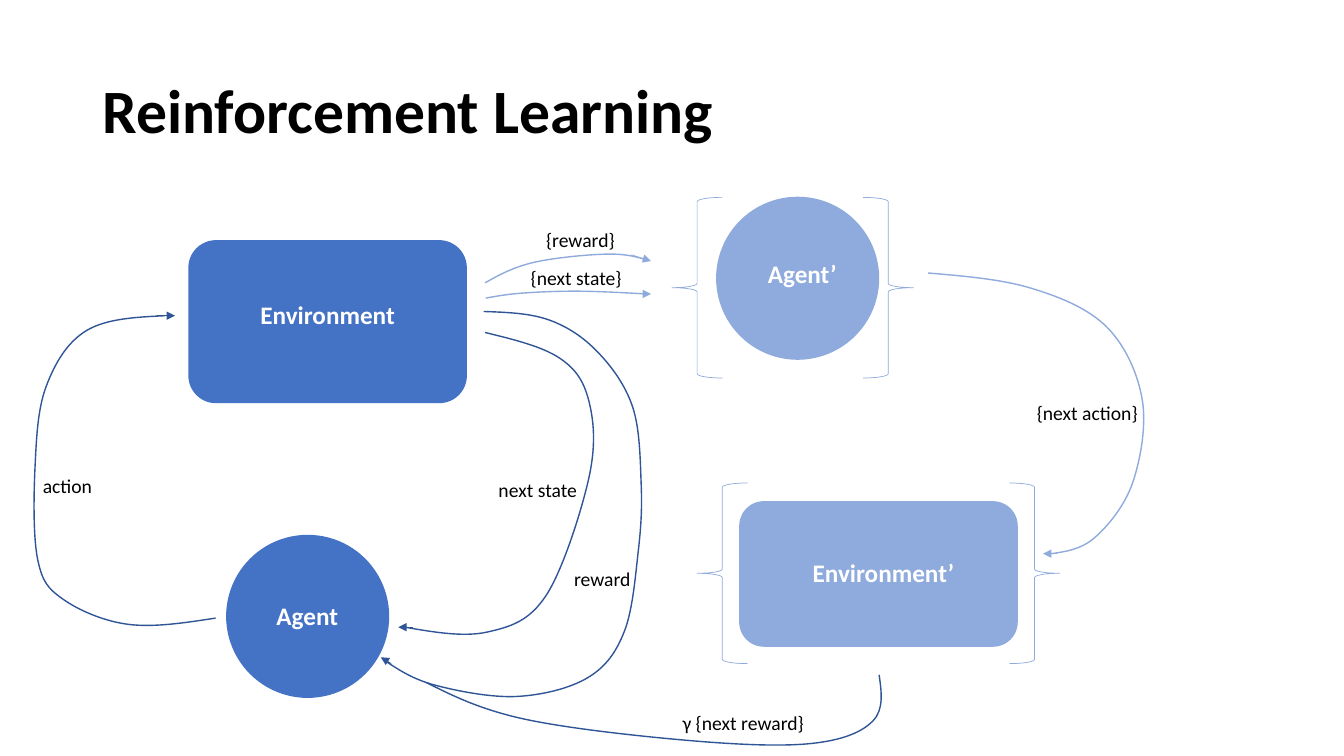
"""Build the reinforcement learning loop slide."""
from dataclasses import dataclass

from lxml.etree import SubElement
from pptx import Presentation
from pptx.dml.color import RGBColor as RGB
from pptx.enum.shapes import MSO_CONNECTOR as CONN, MSO_SHAPE as SHP
from pptx.enum.text import MSO_ANCHOR as ANCHOR, MSO_AUTO_SIZE as AUTO, PP_ALIGN as ALIGN
from pptx.oxml.ns import qn
from pptx.util import Pt


@dataclass(frozen=True)
class Theme:
    """Colours, font and type sizes."""
    real: str = "4472C4"
    flow: str = "2F5597"
    imagined: str = "8FAADC"
    ink: str = "000000"
    light: str = "FFFFFF"
    font: str = "Calibri"
    title: int = 44
    node: int = 18
    label: int = 14


T = Theme()
TITLE = "Reinforcement Learning"
TITLE_BOX = (66, 29, 828, 104.4)

NODES = [
    (SHP.ROUNDED_RECTANGLE, T.real, (135, 172, 198, 115.5)),
    (SHP.OVAL, T.real, (162, 382.5, 115.5, 115.5)),
    (SHP.OVAL, T.imagined, (512, 141, 115.5, 115.5)),
    (SHP.ROUNDED_RECTANGLE, T.imagined, (528.5, 358.5, 198, 103)),
]
BRACE_SIZE = (36, 129)
BRACE_PAIRS = [(480, 616.5, 141), (498, 721, 345)]

CURVES = [
    (T.flow, [(118, 225.5), (62, 236), (33, 276), (25, 334), (27, 400),
              (45, 428), (92, 446), (154, 441.5)]),
    (T.imagined, [(346.5, 202), (381, 187.5), (434, 181.5), (463, 186)]),
    (T.imagined, [(663, 195), (737, 206), (791, 234), (816, 286),
                  (809, 345), (782, 384), (751, 395.5)]),
    (T.flow, [(345.5, 222.5), (392, 228.5), (427, 251.5), (452, 291),
              (458, 346), (456, 393), (446, 451), (420, 484),
              (369, 497.5), (311, 489.5), (276.5, 473)]),
    (T.flow, [(628, 482), (623.5, 515), (580, 531), (493, 529),
              (374, 513.5), (304.5, 487.5)]),
    (T.flow, [(346.5, 237.5), (400, 256), (421, 288), (420.5, 342),
              (390, 425.5), (348, 451.5), (289, 448)]),
    (T.imagined, [(347, 213), (372, 209.5), (412, 208), (461.5, 210)]),
]
ARROWS = [
    (T.flow, (112, 225.5, 125, 225.5)),
    (T.imagined, (451, 182, 465, 186.5)),
    (T.imagined, (755, 395.5, 745, 395.5)),
    (T.flow, (279.5, 474, 272, 469.5)),
    (T.flow, (295, 448, 284.5, 448)),
    (T.imagined, (461.5, 210, 465, 210)),
]

NODE_LABEL_SIZE = (134, 29)
NODE_LABELS = [
    ("Environment", 167, 210.5),
    ("Agent", 152.5, 425.5),
    ("Environment’", 564, 394.5),
    ("Agent’", 506, 181),
]
FLOW_LABEL_HEIGHT = 24.2
FLOW_LABELS = [
    ("action", 23.5, 335, 77),
    ("{reward}", 383, 159, 77),
    ("{next action}", 733.5, 282.5, 88),
    ("γ {next reward}", 480.5, 504, 108),
    ("next state", 349, 337.5, 77),
    ("{next state}", 372, 186.5, 82),
    ("reward", 403, 401.5, 77),
]


def set_all(obj, values):
    for name, value in values.items():
        setattr(obj, name, value)


def set_line(shape, color, width):
    shape.line.color.rgb = RGB.from_string(color)
    shape.line.width = Pt(width)


def add_shape(s, kind, box, line, width, fill=None):
    sp = s.shapes.add_shape(kind, *map(Pt, box))
    sp.shadow.inherit = False
    if fill:
        sp.fill.solid()
        sp.fill.fore_color.rgb = RGB.from_string(fill)
    else:
        sp.fill.background()
    set_line(sp, line, width)


def smooth_controls(pts):
    """Return two control points per segment of a curve through pts."""
    n = len(pts) - 1
    slopes = [tuple((b - a) / 6 for a, b in zip(pts[max(i - 1, 0)], pts[min(i + 1, n)]))
              for i in range(n + 1)]
    segments = []
    for i in range(n):
        c1 = [p + d for p, d in zip(pts[i], slopes[i])]
        c2 = [p - d for p, d in zip(pts[i + 1], slopes[i + 1])]
        if i == 0:
            c1 = [(p + c) / 2 for p, c in zip(pts[0], c2)]
        if i == n - 1:
            c2 = [(p + c) / 2 for p, c in zip(pts[n], c1)]
        segments.append((c1, c2, pts[i + 1]))
    return segments


def add_curve(s, color, stops):
    start, *rest = [(Pt(x), Pt(y)) for x, y in stops]
    builder = s.shapes.build_freeform(*start)
    builder.add_line_segments(rest, close=False)
    sp = builder.convert_to_shape()
    sp.shadow.inherit = False
    sp.fill.background()
    set_line(sp, color, 1)
    outline = next(sp._element.iter(qn("a:path")))
    pts = [(int(p.get("x")), int(p.get("y"))) for p in outline.iter(qn("a:pt"))]
    for segment in outline.findall(qn("a:lnTo")):
        outline.remove(segment)
    for segment in smooth_controls(pts):
        bezier = SubElement(outline, qn("a:cubicBezTo"))
        for x, y in segment:
            SubElement(bezier, qn("a:pt"), x=str(round(x)), y=str(round(y)))


def add_arrow(s, color, ends):
    cx = s.shapes.add_connector(CONN.STRAIGHT, *map(Pt, ends))
    set_line(cx, color, 0.5)
    SubElement(cx.line._get_or_add_ln(), qn("a:tailEnd"), type="triangle")
    SubElement(cx._element.spPr, qn("a:effectLst"))


def write(tf, text, size, color, bold, align):
    p = tf.paragraphs[0]
    p.alignment = align
    r = p.add_run()
    r.text = text
    set_all(r.font, {"name": T.font, "size": Pt(size), "bold": bold})
    r.font.color.rgb = RGB.from_string(color)


def add_label(s, text, box, size, color, bold, align):
    tf = s.shapes.add_textbox(*map(Pt, box)).text_frame
    set_all(tf, {"word_wrap": True, "auto_size": AUTO.SHAPE_TO_FIT_TEXT})
    write(tf, text, size, color, bold, align)


def main():
    prs = Presentation()
    set_all(prs, {"slide_width": Pt(960), "slide_height": Pt(540)})
    s = prs.slides.add_slide(prs.slide_layouts[5])

    title = s.shapes.title
    set_all(title, dict(zip(("left", "top", "width", "height"), map(Pt, TITLE_BOX))))
    title.text_frame.vertical_anchor = ANCHOR.MIDDLE
    write(title.text_frame, TITLE, T.title, T.ink, True, ALIGN.LEFT)
    title.text_frame.paragraphs[0].line_spacing = 0.9

    for kind, color, box in NODES:
        add_shape(s, kind, box, color, 1, color)
    for left, right, top in BRACE_PAIRS:
        for kind, x in ((SHP.LEFT_BRACE, left), (SHP.RIGHT_BRACE, right)):
            add_shape(s, kind, (x, top, *BRACE_SIZE), T.imagined, 0.5)
    for color, stops in CURVES:
        add_curve(s, color, stops)
    for color, ends in ARROWS:
        add_arrow(s, color, ends)
    for text, x, y in NODE_LABELS:
        add_label(s, text, (x, y, *NODE_LABEL_SIZE), T.node, T.light, True, ALIGN.CENTER)
    for text, x, y, width in FLOW_LABELS:
        add_label(s, text, (x, y, width, FLOW_LABEL_HEIGHT), T.label, T.ink, False, ALIGN.LEFT)

    prs.save("out.pptx")


if __name__ == "__main__":
    main()
